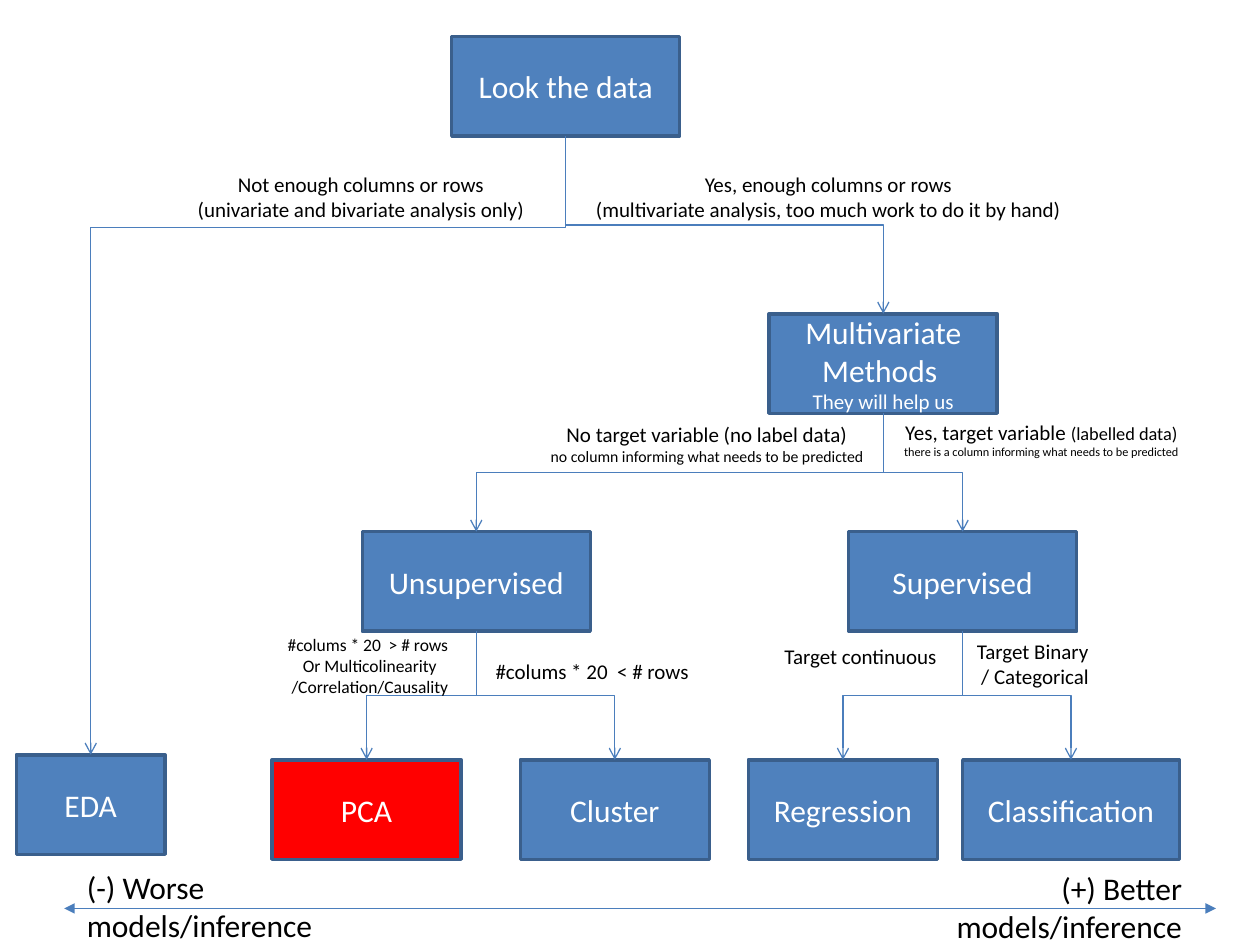
from lxml.etree import SubElement
from pptx import Presentation
from pptx.dml.color import RGBColor
from pptx.enum.shapes import MSO_CONNECTOR, MSO_SHAPE
from pptx.enum.text import MSO_ANCHOR, MSO_AUTO_SIZE, PP_ALIGN
from pptx.oxml.ns import qn
from pptx.util import Inches, Pt

BLUE, RED, BORDER, WIRE = "4F81BD", "FF0000", "3A5F8C", "4B7EBC"
WHITE, BLACK = "FFFFFF", "000000"
BOX_HEIGHT = 0.79
WIDE, NARROW = 1.81, 1.5
ROWS = {"start": 0.29, "methods": 2.49, "learning": 4.22, "eda": 5.99, "leaf": 6.03}

# name: centre, row, width, fill, paragraphs of (text, size) spans
BOXES = {
    "look": (4.49, "start", WIDE, BLUE, [[("Look the data", 18)]]),
    "eda": (0.72, "eda", 1.18, BLUE, [[("EDA", 18)]]),
    "methods": (7.01, "methods", WIDE, BLUE,
                [[("Multivariate Methods ", 18)], [("They will help us", 12)]]),
    "unsupervised": (3.78, "learning", WIDE, BLUE, [[("Unsupervised", 18)]]),
    "supervised": (7.64, "learning", WIDE, BLUE, [[("Supervised", 18)]]),
    "pca": (2.91, "leaf", NARROW, RED, [[("PCA", 18)]]),
    "cluster": (4.88, "leaf", NARROW, BLUE, [[("Cluster", 18)]]),
    "regression": (6.69, "leaf", NARROW, BLUE, [[("Regression", 18)]]),
    "classification": (8.5, "leaf", 1.72, BLUE, [[("Classification", 18)]]),
}

BRANCHES = [
    ("look", "eda", 0.148), ("look", "methods", 0.5),
    ("methods", "unsupervised", 0.5), ("methods", "supervised", 0.5),
    ("unsupervised", "pca", 0.5), ("unsupervised", "cluster", 0.5),
    ("supervised", "regression", 0.5), ("supervised", "classification", 0.5),
]

CENTER, LEFT, RIGHT = PP_ALIGN.CENTER, PP_ALIGN.LEFT, PP_ALIGN.RIGHT
LABELS = [
    ((1.46, 1.31, 2.81, 0.5), CENTER, False,
     [[("Not enough columns or rows", 12)],
      [("(univariate and bivariate analysis only)", 12)]]),
    ((4.61, 1.31, 3.93, 0.5), CENTER, False,
     [[("Yes, enough columns or rows", 12)],
      [("(multivariate analysis, too much work to do it by hand)", 12)]]),
    ((4.25, 3.3, 2.72, 0.45), CENTER, False,
     [[("No target variable (no label data)\n", 12),
       ("no column informing what needs to be predicted", 9)]]),
    ((7.05, 3.28, 2.43, 0.42), CENTER, False,
     [[("Yes, target variable ", 12), ("(labelled data)\n", 10.5),
       ("there is a column informing what needs to be predicted", 7)]]),
    ((2.17, 4.98, 1.53, 0.61), CENTER, False,
     [[("#colums * 20  > # rows ", 10)],
      [("Or Multicolinearity\n/Correlation/Causality", 10)]]),
    ((3.82, 5.18, 1.76, 0.3), CENTER, False, [[("#colums * 20  < # rows", 12)]]),
    ((6.12, 5.06, 1.42, 0.3), CENTER, False, [[("Target continuous", 12)]]),
    ((7.65, 5.02, 1.13, 0.5), CENTER, False, [[("Target Binary \n/ Categorical", 12)]]),
    ((0.59, 6.84, 2.28, 0.71), LEFT, True, [[("(-) Worse models/inference", 18)]]),
    ((7.2, 6.85, 2.28, 0.71), RIGHT, True, [[("(+) Better models/inference", 18)]]),
]


def color(value):
    return RGBColor.from_string(value)


def write(frame, paragraphs, align, ink, **settings):
    for name, value in settings.items():
        setattr(frame, name, value)
    for index, spans in enumerate(paragraphs):
        para = frame.add_paragraph() if index else frame.paragraphs[0]
        para.alignment = align
        for text, size in spans:
            for number, line in enumerate(text.split("\n")):
                if number:
                    para.add_line_break()
                    SubElement(para._p[-1], qn("a:rPr"), sz=str(int(size * 100)))
                if line:
                    span = para.add_run()
                    span.text = line
                    for name, value in {"size": Pt(size), "name": "Calibri"}.items():
                        setattr(span.font, name, value)
                    span.font.color.rgb = color(ink)


def add_box(page, center, row, width, fill, paragraphs):
    box = page.shapes.add_shape(
        MSO_SHAPE.RECTANGLE, Inches(center - width / 2), Inches(ROWS[row]),
        Inches(width), Inches(BOX_HEIGHT))
    box.shadow.inherit = False
    box.fill.solid()
    box.fill.fore_color.rgb = color(fill)
    box.line.color.rgb = color(BORDER)
    box.line.width = Pt(2)
    write(box.text_frame, paragraphs, CENTER, WHITE,
          word_wrap=True, vertical_anchor=MSO_ANCHOR.MIDDLE)
    return box


def style_wire(wire, **ends):
    wire.line.color.rgb = color(WIRE)
    wire.line.width = Pt(0.75)
    for end, kind in ends.items():
        SubElement(wire.line._get_or_add_ln(), qn("a:" + end), type=kind)
    SubElement(wire._element.spPr, qn("a:effectLst"))


def add_branch(page, parent, child, bend):
    wire = page.shapes.add_connector(MSO_CONNECTOR.ELBOW, 0, 0, 0, 0)
    wire.begin_connect(parent, 2)
    wire.end_connect(child, 0)
    start_x, start_y = parent.left + parent.width // 2, parent.top + parent.height
    end_x, end_y = child.left + child.width // 2, child.top
    across, down = abs(end_x - start_x), end_y - start_y
    wire.left = (start_x + end_x - down) // 2
    wire.top = (start_y + end_y - across) // 2
    wire.width, wire.height = down, across
    rightward = end_x > start_x
    frame = wire._element.spPr.find(qn("a:xfrm"))
    frame.set("rot", str((270 if rightward else 90) * 60000))
    frame.set("flipH", "1" if rightward else "0")
    frame.set("flipV", "0")
    guides = wire._element.spPr.find(qn("a:prstGeom")).find(qn("a:avLst"))
    SubElement(guides, qn("a:gd"), name="adj1", fmla=f"val {round(bend * 100000)}")
    style_wire(wire, tailEnd="arrow")


def main():
    deck = Presentation()
    deck.slide_width, deck.slide_height = Inches(10), Inches(7.5)
    page = deck.slides.add_slide(deck.slide_layouts[6])

    boxes = {name: add_box(page, *content) for name, content in BOXES.items()}
    for parent, child, bend in BRANCHES:
        add_branch(page, boxes[parent], boxes[child], bend)

    scale = page.shapes.add_connector(
        MSO_CONNECTOR.STRAIGHT, Inches(0.51), Inches(7.21), Inches(9.65), Inches(7.21))
    style_wire(scale, headEnd="triangle", tailEnd="triangle")

    for place, align, wrap, paragraphs in LABELS:
        label = page.shapes.add_textbox(*map(Inches, place))
        write(label.text_frame, paragraphs, align, BLACK,
              word_wrap=wrap, auto_size=MSO_AUTO_SIZE.SHAPE_TO_FIT_TEXT)

    deck.save("out.pptx")


if __name__ == "__main__":
    main()
